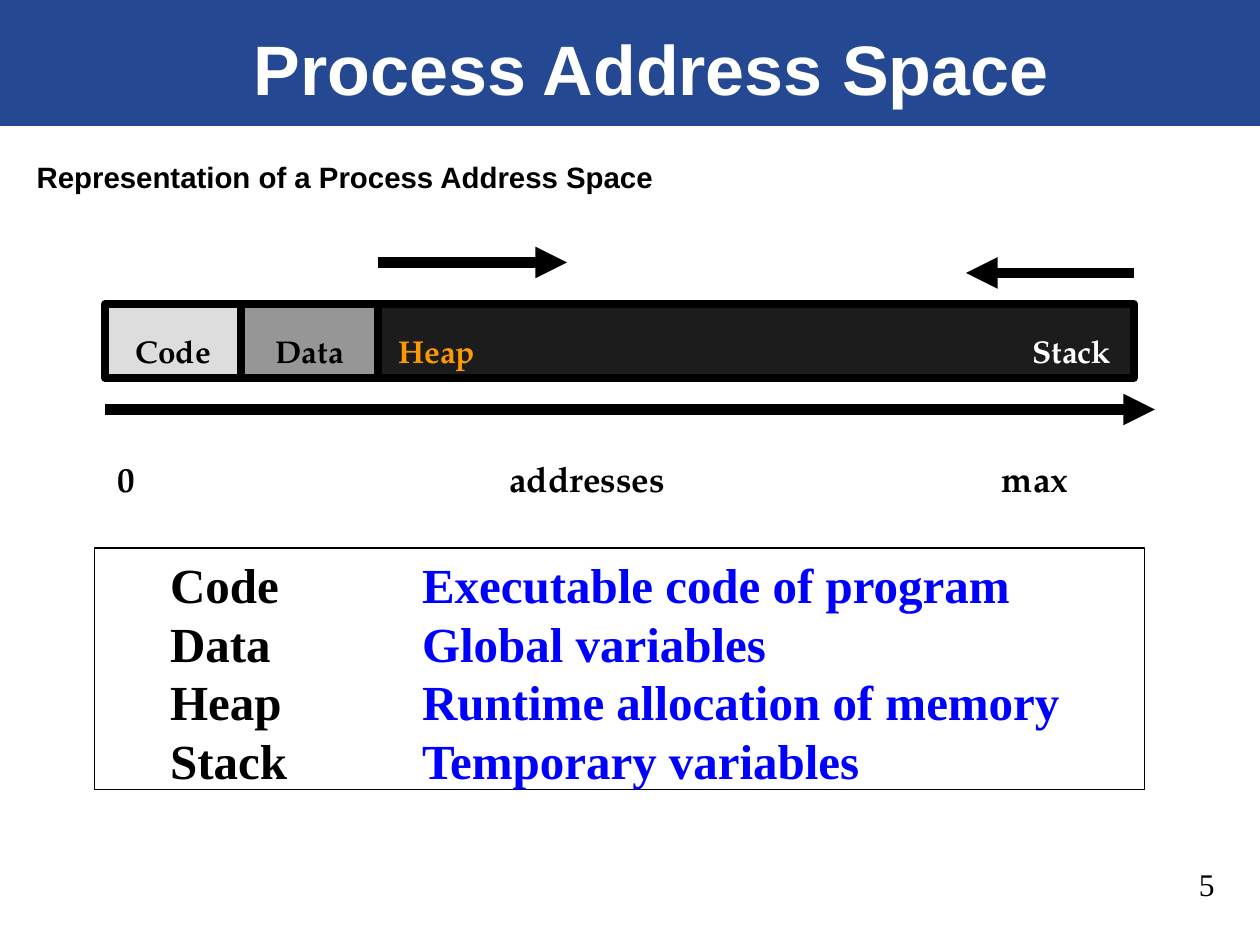
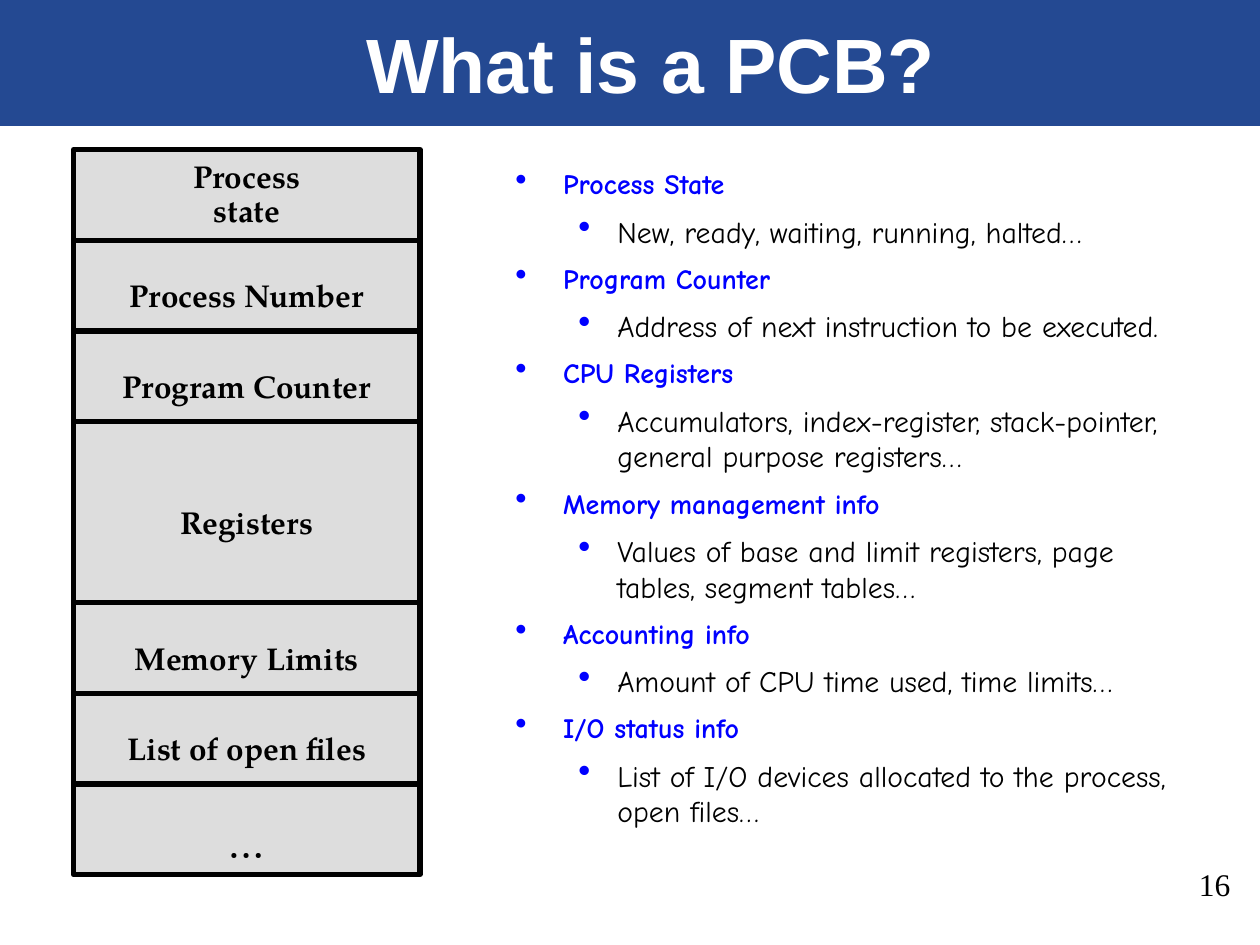
from lxml.etree import SubElement
from pptx import Presentation
from pptx.dml.color import RGBColor
from pptx.enum.shapes import MSO_CONNECTOR, MSO_SHAPE
from pptx.enum.text import MSO_ANCHOR, PP_ALIGN
from pptx.oxml.ns import qn
from pptx.util import Inches, Pt

COLORS = {
    "band": "244992", "white": "FFFFFF", "black": "000000", "blue": "0000FF",
    "light": "DDDDDD", "grey": "969696", "dark": "1C1C1C", "orange": "FF9900",
}
SANS, SERIF, BOOK, COMIC = "Arial", "Times New Roman", "TeX Gyre Pagella", "Comic Neue"

# The slide is a grid of 120 columns by 90 rows of square cells.
COLUMNS, ROWS = 120, 90
CELL = Inches(10) / COLUMNS


def add_box(page, left, top, width, height, fill=None, line=None, weight=0,
            anchor=MSO_ANCHOR.TOP, wrap=True):
    """Add a box measured in grid cells; without fill and line it is a text box."""
    place = [round(cells * CELL) for cells in (left, top, width, height)]
    if fill or line:
        box = page.shapes.add_shape(MSO_SHAPE.RECTANGLE, *place)
        box.shadow.inherit = False
        if fill:
            box.fill.solid()
            box.fill.fore_color.rgb = RGBColor.from_string(COLORS[fill])
        else:
            box.fill.background()
        if line:
            box.line.color.rgb = RGBColor.from_string(COLORS[line])
            box.line.width = Pt(weight)
        else:
            box.line.fill.background()
    else:
        box = page.shapes.add_textbox(*place)
    box.text_frame.word_wrap = wrap
    box.text_frame.vertical_anchor = anchor
    return box


def add_span(para, text, font, size, color="black", bold=True):
    span = para.add_run()
    span.text = text
    span.font.name = font
    span.font.size = Pt(size)
    span.font.bold = bold
    span.font.color.rgb = RGBColor.from_string(COLORS[color])


deck = Presentation()
deck.slide_width = round(COLUMNS * CELL)
deck.slide_height = round(ROWS * CELL)

# Shared band, title and slide number
pages = []
for title, title_size, number in [("Process Address Space", 40, "5"),
                                  ("What is a PCB?", 44, "16")]:
    page = deck.slides.add_slide(deck.slide_layouts[6])
    add_box(page, 0, 0, COLUMNS, 12, fill="band")
    title_box = add_box(page, 9, 3, 106, 8, anchor=MSO_ANCHOR.BOTTOM)
    para = title_box.text_frame.paragraphs[0]
    para.alignment = PP_ALIGN.CENTER
    add_span(para, title, SANS, title_size, "white")
    number_box = add_box(page, 113, 81.8, 7, 6)
    add_span(number_box.text_frame.paragraphs[0], number, SERIF, 18, bold=False)
    pages.append(page)
address_page, pcb_page = pages

# Address space: heading
heading = add_box(address_page, 2.3, 14.6, 88, 5)
add_span(heading.text_frame.paragraphs[0],
         "Representation of a Process Address Space", SANS, 16.8)

# Address space: memory bar
BAR_TOP, BAR_HEIGHT = 29, 7
for left, width, fill, labels in [
    (10, 13, "light", [("Code", "black")]),
    (23, 13, "grey", [("Data", "black")]),
    (36, 72, "dark", [("Heap", "orange"), ("\tStack", "white")]),
]:
    segment = add_box(address_page, left, BAR_TOP, width, BAR_HEIGHT, fill, "black", 4.5,
                      MSO_ANCHOR.MIDDLE, wrap=len(labels) > 1)
    para = segment.text_frame.paragraphs[0]
    para.line_spacing = 1.5
    para.alignment = PP_ALIGN.CENTER
    if len(labels) > 1:
        para.alignment = PP_ALIGN.LEFT
        segment.text_frame.margin_left = Inches(0.16)
        stops = SubElement(para._p.get_or_add_pPr(), qn("a:tabLst"))
        SubElement(stops, qn("a:tab"), pos=str(Inches(5.66)), algn="r")
    for label, color in labels:
        add_span(para, label, BOOK, 18, color)

# Address space: growth of heap and stack, and the address axis
for start, end, row in [(36, 54, 25), (108, 92, 26), (10, 110, 39)]:
    arrow = address_page.shapes.add_connector(
        MSO_CONNECTOR.STRAIGHT,
        *[round(cells * CELL) for cells in (start, row, end, row)])
    arrow.line.color.rgb = RGBColor.from_string(COLORS["black"])
    arrow.line.width = Pt(6)
    properties = arrow.element.spPr
    SubElement(properties.find(qn("a:ln")), qn("a:tailEnd"), type="triangle")
    SubElement(properties, qn("a:effectLst"))

axis_labels = add_box(address_page, 10, 43, 99, 5.3)
para = axis_labels.text_frame.paragraphs[0]
stops = SubElement(para._p.get_or_add_pPr(), qn("a:tabLst"))
for stop in (3.11, 7.02):
    SubElement(stops, qn("a:tab"), pos=str(Inches(stop)), algn="l")
add_span(para, "0\taddresses\tmax", BOOK, 20)

# Address space: what each segment holds
legend = add_box(address_page, 9, 52.2, 100, 23, line="black", weight=0.75)
legend.text_frame.margin_left = Inches(0.6)
for index, (segment_name, meaning) in enumerate([
    ("Code", "Executable code of program"),
    ("Data", "Global variables"),
    ("Heap", "Runtime allocation of memory"),
    ("Stack", "Temporary variables"),
]):
    frame = legend.text_frame
    para = frame.add_paragraph() if index else frame.paragraphs[0]
    para.alignment = PP_ALIGN.LEFT
    stops = SubElement(para._p.get_or_add_pPr(), qn("a:tabLst"))
    SubElement(stops, qn("a:tab"), pos=str(Inches(2)), algn="l")
    add_span(para, segment_name + "\t", SERIF, 28)
    add_span(para, meaning, SERIF, 28, "blue")

# PCB: stack of fields, each a number of equal units high
UNIT = 8.63
top = 14.25
for lines, units in [
    (["Process", "state"], 1), (["Process Number"], 1), (["Program Counter"], 1),
    (["Registers"], 2), (["Memory Limits"], 1), (["List of open files"], 1), (["…"], 1),
]:
    field = add_box(pcb_page, 7, top, 33, units * UNIT, "light", "black", 3,
                    MSO_ANCHOR.MIDDLE, wrap=False)
    for index, line in enumerate(lines):
        frame = field.text_frame
        para = frame.add_paragraph() if index else frame.paragraphs[0]
        para.alignment = PP_ALIGN.CENTER
        para.line_spacing = 0.9 if len(lines) > 1 else 1.5
        is_ellipsis = line == "…"
        add_span(para, line, BOOK, 24 if is_ellipsis else 18, bold=not is_ellipsis)
    top += units * UNIT

# PCB: explanation of the fields
ENTRIES = [
    ("Process State", "New, ready, waiting, running, halted…"),
    ("Program Counter", "Address of next instruction to be executed."),
    ("CPU Registers",
     "Accumulators, index-register, stack-pointer, general purpose registers…"),
    ("Memory management info",
     "Values of base and limit registers, page tables, segment tables…"),
    ("Accounting info", "Amount of CPU time used, time limits…"),
    ("I/O status info", "List of I/O devices allocated to the process, open files…"),
]
# Left margin, hanging indent, space before, size, colour, bold
LEVELS = [(0.38, 0.38, 7, 16, "blue", True), (0.81, 0.31, 7.4, 17, "black", False)]
notes = add_box(pcb_page, 47.9, 15.3, 66.2, 68)
para = notes.text_frame.paragraphs[0]
for entry_index, entry in enumerate(ENTRIES):
    for level, text in enumerate(entry):
        margin, hanging, before, size, color, bold = LEVELS[level]
        if entry_index or level:
            para = notes.text_frame.add_paragraph()
            para.space_before = Pt(before)
        para.level = level
        settings = para._p.get_or_add_pPr()
        settings.set("marL", str(Inches(margin)))
        settings.set("indent", str(-Inches(hanging)))
        bullet_color = SubElement(settings, qn("a:buClr"))
        SubElement(bullet_color, qn("a:srgbClr"), val=COLORS["blue"])
        SubElement(settings, qn("a:buSzPct"), val="120000")
        SubElement(settings, qn("a:buChar"), char="•")
        add_span(para, text, COMIC, size, color, bold)

deck.save("out.pptx")
